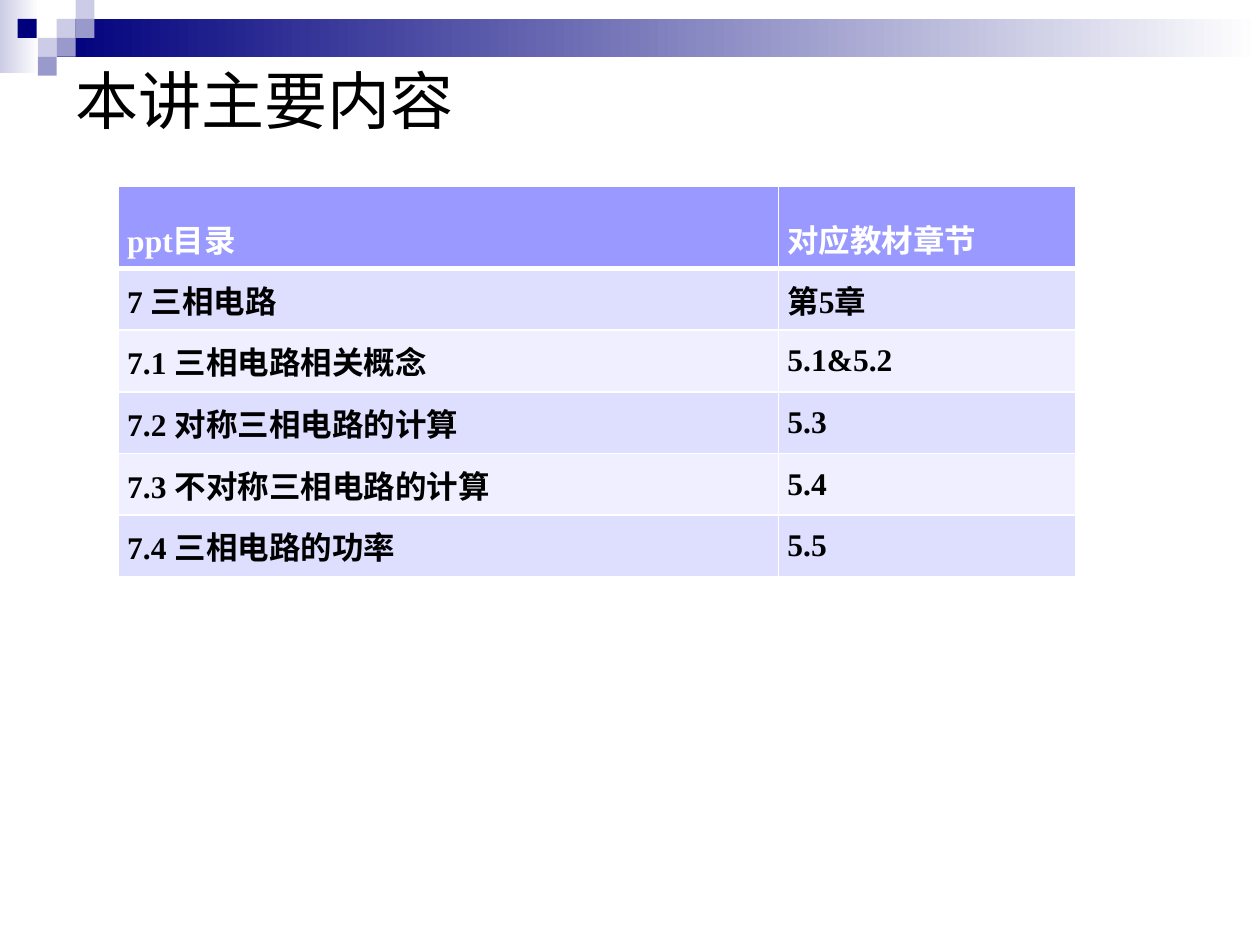
from dataclasses import dataclass

from lxml import etree
from pptx import Presentation
from pptx.dml.color import RGBColor
from pptx.enum.shapes import MSO_SHAPE
from pptx.enum.text import MSO_ANCHOR, PP_ALIGN
from pptx.oxml.ns import qn
from pptx.util import Inches, Pt

RECT = MSO_SHAPE.RECTANGLE
MIDDLE = MSO_ANCHOR.MIDDLE
LEFT = PP_ALIGN.LEFT
JUSTIFY = PP_ALIGN.JUSTIFY

CJK = "Noto Sans CJK SC"
LATIN = "Times New Roman"
NAVY, BLUE, PALE = "00007D", "9999CC", "CCCCE6"
BLACK, WHITE = "000000", "FFFFFF"
HEADER, BANDS = "9999FF", ("DEDEFF", "EFEFFF")
SQUARE = 0.15


@dataclass
class Block:
    left: float
    top: float
    color: str
    width: float = SQUARE
    height: float = SQUARE
    fade: bool = False


BLOCKS = [
    Block(0, 0, PALE, 0.31, 0.58, True),
    Block(0.45, 0.15, NAVY, 9.55, 0.3, True),
    Block(0.45, 0.15, PALE),
    Block(0.6, 0, PALE),
    Block(0.6, 0.15, BLUE),
    Block(0.3, 0.3, PALE),
    Block(0.14, 0.15, NAVY),
    Block(0.45, 0.3, BLUE),
    Block(0.3, 0.45, BLUE),
]

ROWS = [
    ("ppt目录", "对应教材章节"),
    ("7 三相电路", "第5章"),
    ("7.1 三相电路相关概念", "5.1&5.2"),
    ("7.2 对称三相电路的计算", "5.3"),
    ("7.3 不对称三相电路的计算", "5.4"),
    ("7.4 三相电路的功率", "5.5"),
]
COL_WIDTHS = (5.24, 2.36)
ROW_HEIGHTS = (0.65,) + (0.49,) * 5


def rgb(color: str) -> RGBColor:
    return RGBColor.from_string(color)


def format_text(p, size: float, latin: str, color: str, bold: bool, align) -> None:
    p.alignment = align
    font = p.font
    font.size = Pt(size)
    font.bold = bold
    font.color.rgb = rgb(color)
    font.name = latin
    props = p._p.pPr.find(qn("a:defRPr"))
    ea = etree.Element(qn("a:ea"), typeface=CJK)
    props.find(qn("a:latin")).addnext(ea)


def add_block(slide, block: Block) -> None:
    sp = slide.shapes.add_shape(RECT, Inches(block.left), Inches(block.top),
                                Inches(block.width), Inches(block.height))
    sp.shadow.inherit = False
    sp.line.fill.background()
    if block.fade:
        sp.fill.gradient()
        sp.fill.gradient_angle = 0
        for stop, color in zip(sp.fill.gradient_stops, (block.color, WHITE)):
            stop.color.rgb = rgb(color)
    else:
        sp.fill.solid()
        sp.fill.fore_color.rgb = rgb(block.color)


def set_borders(cell, bottom: float, top: float) -> None:
    widths = {"lnL": 1, "lnR": 1, "lnT": top, "lnB": bottom}
    tc_pr = cell._tc.get_or_add_tcPr()
    for side, width in widths.items():
        ln = etree.SubElement(tc_pr, qn(f"a:{side}"), w=str(Pt(width)))
        fill = etree.SubElement(ln, qn("a:solidFill"))
        etree.SubElement(fill, qn("a:srgbClr"), val=WHITE)


def format_cell(cell, text: str, row: int) -> None:
    is_header = row == 0
    cell.text = text
    cell.vertical_anchor = MIDDLE
    cell.margin_left = cell.margin_right = Inches(0.07)
    cell.margin_top = cell.margin_bottom = 0
    set_borders(cell, 3 if is_header else 1, 3 if row == 1 else 1)
    cell.fill.solid()
    cell.fill.fore_color.rgb = rgb(HEADER if is_header else BANDS[(row - 1) % 2])
    p = cell.text_frame.paragraphs[0]
    if is_header:
        p.line_spacing = 1.5
    format_text(p, 18, LATIN, WHITE if is_header else BLACK, True, JUSTIFY)


def add_contents_table(slide) -> None:
    frame = slide.shapes.add_table(len(ROWS), len(COL_WIDTHS), Inches(0.94), Inches(1.48),
                                   Inches(sum(COL_WIDTHS)), Inches(sum(ROW_HEIGHTS)))
    table = frame.table
    for column, width in zip(table.columns, COL_WIDTHS):
        column.width = Inches(width)
    for i, (row, height) in enumerate(zip(table.rows, ROW_HEIGHTS)):
        row.height = Inches(height)
        for cell, text in zip(row.cells, ROWS[i]):
            format_cell(cell, text, i)


def add_title(slide, text: str) -> None:
    title = slide.shapes.title
    title.left, title.top = Inches(0.5), Inches(0.5)
    title.width, title.height = Inches(9), Inches(0.58)
    tf = title.text_frame
    tf.text = text
    tf.vertical_anchor = MIDDLE
    format_text(tf.paragraphs[0], 36, CJK, BLACK, False, LEFT)


def main() -> None:
    prs = Presentation()
    prs.slide_width, prs.slide_height = Inches(10), Inches(7.5)
    slide = prs.slides.add_slide(prs.slide_layouts[5])
    for block in BLOCKS:
        add_block(slide, block)
    add_title(slide, "本讲主要内容")
    add_contents_table(slide)
    prs.save("out.pptx")


if __name__ == "__main__":
    main()
